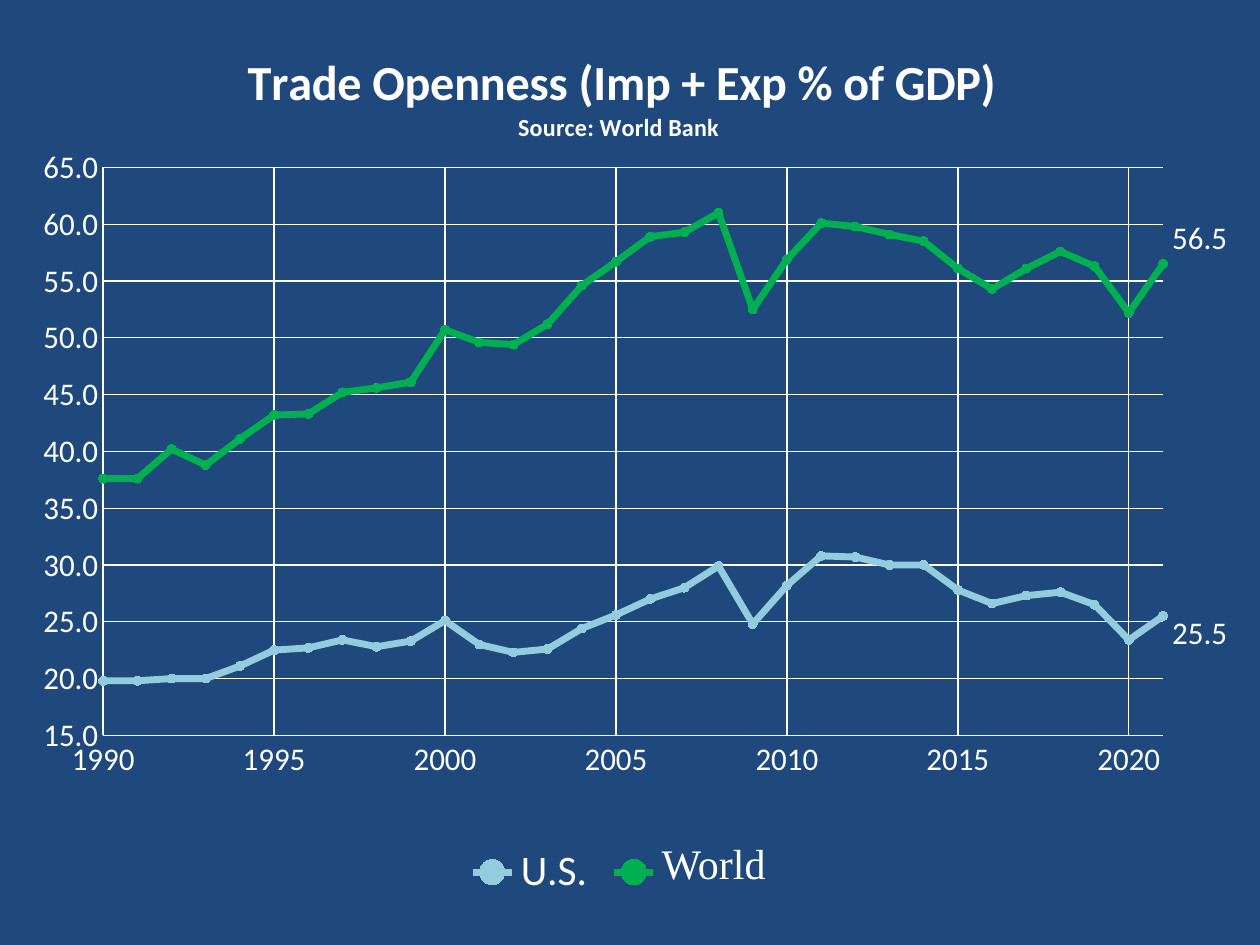
from dataclasses import dataclass

from lxml import etree
from pptx import Presentation
from pptx import util as u
from pptx.chart.data import XyChartData
from pptx.dml.color import RGBColor
from pptx.enum import chart as ch
from pptx.enum import shapes
from pptx.oxml.ns import qn

NAVY, WHITE, LIGHT_BLUE, GREEN = "1F497D", "FFFFFF", "93CDDD", "00B050"
FIRST_YEAR, LAST_YEAR = 1990, 2021


@dataclass
class Region:
    name: str
    color: str
    label_shift: float
    openness: list[float]


REGIONS = [
    Region("U.S.", LIGHT_BLUE, 0.02, [
        19.8, 19.8, 20.0, 20.0, 21.1, 22.5, 22.7, 23.4, 22.8, 23.3, 25.1,
        23.0, 22.3, 22.6, 24.4, 25.6, 27.0, 28.0, 29.9, 24.8, 28.2, 30.8,
        30.7, 30.0, 30.0, 27.8, 26.6, 27.3, 27.6, 26.5, 23.4, 25.5]),
    Region("World", GREEN, -0.03, [
        37.6, 37.6, 40.2, 38.8, 41.1, 43.2, 43.3, 45.2, 45.6, 46.1, 50.7,
        49.6, 49.4, 51.2, 54.6, 56.7, 58.9, 59.3, 61.0, 52.5, 56.9, 60.1,
        59.8, 59.1, 58.5, 56.1, 54.3, 56.1, 57.6, 56.3, 52.2, 56.5]),
]


def rgb(color: str) -> RGBColor:
    return RGBColor.from_string(color)


def style_font(font, size: float, name: str = "Calibri", bold: bool = False) -> None:
    font.size, font.name, font.bold = u.Pt(size), name, bold
    font.color.rgb = rgb(WHITE)


def style_line(line, color: str, width: float) -> None:
    line.color.rgb = rgb(color)
    line.width = u.Pt(width)


def fill(target, color: str) -> None:
    target.fill.solid()
    target.fill.fore_color.rgb = rgb(color)


def set_layout(parent, after: str | None, **settings) -> None:
    """Give a chart part a manual layout, placed after the named child or first."""
    for old in parent.findall(qn("c:layout")):
        parent.remove(old)
    layout = etree.Element(qn("c:layout"))
    manual = etree.SubElement(layout, qn("c:manualLayout"))
    for key, value in settings.items():
        etree.SubElement(manual, qn(f"c:{key}")).set("val", str(value))
    if after:
        parent.find(qn(after)).addnext(layout)
    else:
        parent.insert(0, layout)


def style_axis(axis, low: float, high: float, number_format: str) -> None:
    axis.minimum_scale, axis.maximum_scale, axis.major_unit = low, high, 5
    axis.has_major_gridlines = True
    style_line(axis.major_gridlines.format.line, WHITE, 0.75)
    axis.minor_tick_mark = ch.XL_TICK_MARK.NONE
    axis.tick_labels.number_format = number_format
    axis.tick_labels.number_format_is_linked = False
    style_font(axis.tick_labels.font, 18)


def style_series(series, region: Region) -> None:
    series.smooth = False
    style_line(series.format.line, region.color, 4)
    series.marker.style = ch.XL_MARKER_STYLE.CIRCLE
    series.marker.size = 5
    fill(series.marker.format, region.color)
    style_line(series.marker.format.line, region.color, 0.75)

    label = series.points[len(region.openness) - 1].data_label
    style_font(label.font, 18)
    label.position = ch.XL_LABEL_POSITION.RIGHT
    for item in series._element.iter(qn("c:dLbl")):
        set_layout(item, "c:idx", x=0, y=region.label_shift)


def add_title(chart) -> None:
    title = chart.chart_title
    title.text_frame.text = "Trade Openness (Imp + Exp % of GDP)\nSource: World Bank "
    for paragraph, size in zip(title.text_frame.paragraphs, (28, 14)):
        style_font(paragraph.runs[0].font, size, bold=True)
    title.include_in_layout = False
    set_layout(title._element, "c:tx", xMode="edge", yMode="edge", x=0.18, y=0.01)


def add_openness_chart(slide) -> None:
    data = XyChartData(number_format="0.0")
    for region in REGIONS:
        series = data.add_series(region.name)
        for year, value in enumerate(region.openness, FIRST_YEAR):
            series.add_data_point(year, value)
    chart = slide.shapes.add_chart(
        ch.XL_CHART_TYPE.XY_SCATTER_LINES,
        u.Cm(0.66), u.Cm(0.79), u.Cm(24.08), u.Cm(17.48), data).chart
    style_font(chart.font, 10)
    add_title(chart)

    years, percent = chart.category_axis, chart.value_axis
    style_axis(years, FIRST_YEAR, LAST_YEAR, "General")
    years.major_tick_mark = ch.XL_TICK_MARK.INSIDE
    style_line(years.format.line, WHITE, 0.75)
    style_axis(percent, 15, 65, "0.0")
    percent.major_tick_mark = ch.XL_TICK_MARK.NONE
    percent.format.line.fill.background()

    plot = chart.plots[0]
    plot.vary_by_categories = False
    for series, region in zip(plot.series, REGIONS):
        style_series(series, region)
    plot_area = chart._chartSpace.chart.plotArea
    set_layout(plot_area, None, layoutTarget="inner", xMode="edge", yMode="edge",
               x=0.06, y=0.148, w=0.903, h=0.655)

    chart.has_legend = True
    chart.legend.position = ch.XL_LEGEND_POSITION.BOTTOM
    chart.legend.include_in_layout = False
    style_font(chart.legend.font, 24)


def add_world_caption(slide) -> None:
    caption = slide.shapes.add_shape(
        shapes.MSO_SHAPE.RECTANGLE,
        u.Cm(13.34), u.Cm(16.89), u.Cm(2.11), u.Cm(1.02))
    caption.shadow.inherit = False
    fill(caption, NAVY)
    caption.line.fill.background()
    frame = caption.text_frame
    frame.margin_left = frame.margin_right = frame.margin_top = frame.margin_bottom = 0
    frame.word_wrap = False
    frame.text = "World"
    paragraph = frame.paragraphs[0]
    paragraph.alignment = 1
    style_font(paragraph.runs[0].font, 24, "Times New Roman")


def main() -> None:
    deck = Presentation()
    deck.slide_width, deck.slide_height = u.Cm(25.4), u.Cm(19.05)
    slide = deck.slides.add_slide(deck.slide_layouts[6])
    fill(slide.background, NAVY)
    add_openness_chart(slide)
    add_world_caption(slide)
    deck.save("out.pptx")


if __name__ == "__main__":
    main()
